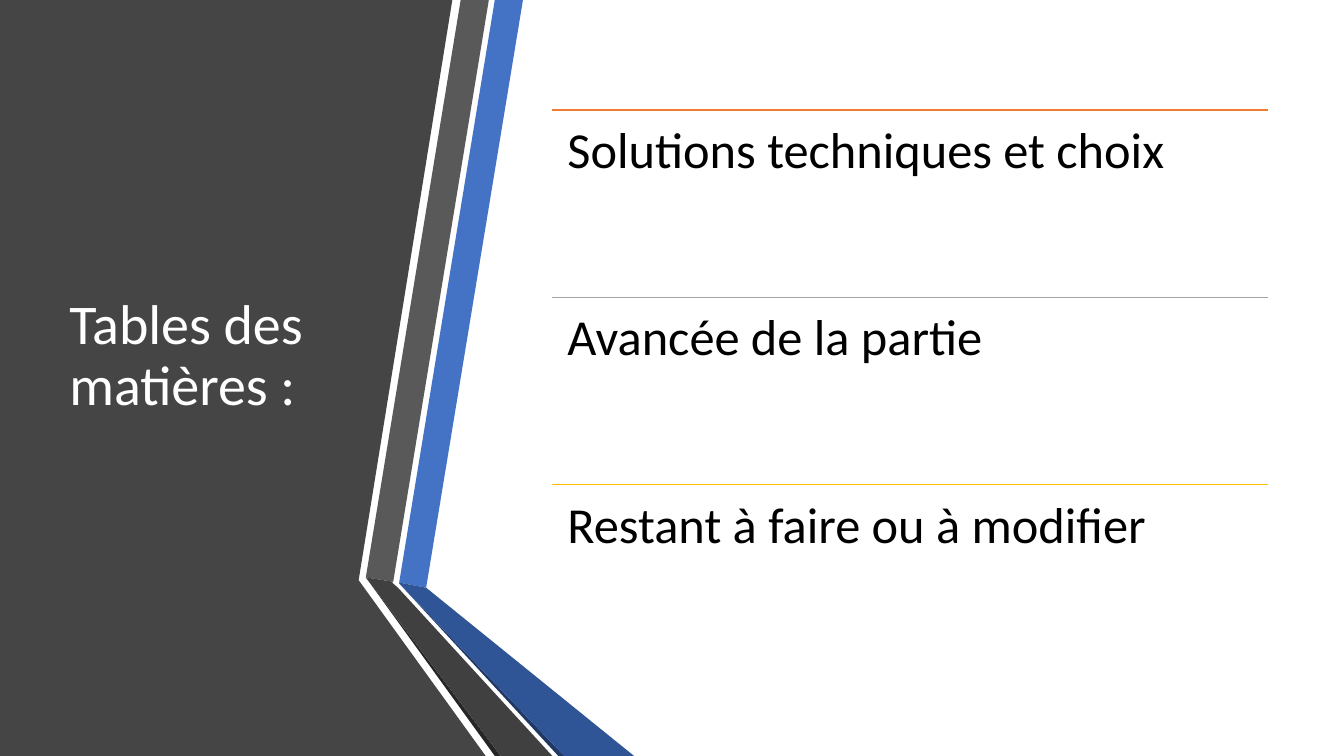
from pptx import Presentation
from pptx.dml.color import RGBColor
from pptx.enum.shapes import MSO_CONNECTOR
from pptx.enum.text import MSO_ANCHOR
from pptx.util import Cm, Pt
from lxml import etree

LINE = MSO_CONNECTOR.STRAIGHT
TOP, MIDDLE = MSO_ANCHOR.TOP, MSO_ANCHOR.MIDDLE
NS = "http://schemas.openxmlformats.org/drawingml/2006/main"

WIDE, HIGH = 33.87, 19.05
LEFT, FIRST, SPAN, STEP = 13.92, 2.77, 18.03, 4.72
INSET = Cm(0.38)

# Fill and corner points in cm, from back to front
BANDS = [
    ("454545", [(0, 0), (11.4, 0), (9.04, 14.62), (12.24, HIGH), (0, HIGH)]),
    ("4472C4", [(10.06, 14.68), (10.74, 14.81), (13.18, 0), (12.47, 0)]),
    ("595959", [(12.32, 0), (11.61, 0), (9.22, 14.55), (9.91, 14.66)]),
    ("262626", [(9.22, 14.55), (12.47, HIGH), (12.62, HIGH)]),
    ("203864", [(10.06, 14.7), (14.07, HIGH), (14.22, HIGH)]),
    ("2F5597", [(10.06, 14.7), (14.22, HIGH), (15.98, HIGH), (10.74, 14.81),
                (10.06, 14.68)]),
    ("404040", [(13.92, HIGH), (10.03, 14.81), (9.88, 14.68), (9.91, 14.66),
                (9.22, 14.55), (12.62, HIGH)]),
]
TOPICS = [
    ("Solutions techniques et choix", "ED7D31"),
    ("Avancée de la partie", "A5A5A5"),
    ("Restant à faire ou à modifier", "FFC000"),
]
TITLE = {"vertical_anchor": MIDDLE}
TOPIC = {"vertical_anchor": TOP, "margin_left": INSET, "margin_right": INSET,
         "margin_top": INSET, "margin_bottom": INSET}


def color(code):
    return RGBColor.from_string(code)


def add_band(slide, fill, points):
    corners = [(Cm(x), Cm(y)) for x, y in points]
    maker = slide.shapes.build_freeform(*corners[0])
    maker.add_line_segments(corners[1:], close=True)
    band = maker.convert_to_shape()
    band.shadow.inherit = False
    band.fill.solid()
    band.fill.fore_color.rgb = color(fill)
    band.line.fill.background()


def add_rule(slide, left, top, width, code):
    rule = slide.shapes.add_connector(
        LINE, Cm(left), Cm(top), Cm(left + width), Cm(top))
    rule.line.color.rgb = color(code)
    rule.line.width = Pt(1)
    etree.SubElement(rule._element.spPr, f"{{{NS}}}effectLst")


def add_text(slide, text, box, size, code, form):
    """Place one wrapped paragraph; form holds text frame attributes."""
    frame = slide.shapes.add_textbox(*map(Cm, box)).text_frame
    frame.word_wrap = True
    for name, value in form.items():
        setattr(frame, name, value)
    para = frame.paragraphs[0]
    para.line_spacing = 0.9
    run = para.add_run()
    run.text = text
    looks = {"name": "Calibri", "size": Pt(size)}
    for name, value in looks.items():
        setattr(run.font, name, value)
    run.font.color.rgb = color(code)


def main():
    deck = Presentation()
    deck.slide_width, deck.slide_height = Cm(WIDE), Cm(HIGH)
    slide = deck.slides.add_slide(deck.slide_layouts[6])
    for fill, points in BANDS:
        add_band(slide, fill, points)
    add_text(slide, "Tables des matières :", (1.5, 1.91, 7.72, 14.17),
             40, "FFFFFF", TITLE)
    for row, (text, code) in enumerate(TOPICS):
        top = FIRST + row * STEP
        add_rule(slide, LEFT, top, SPAN, code)
        add_text(slide, text, (LEFT, top, SPAN, STEP), 36, "000000", TOPIC)
    deck.save("out.pptx")


if __name__ == "__main__":
    main()
